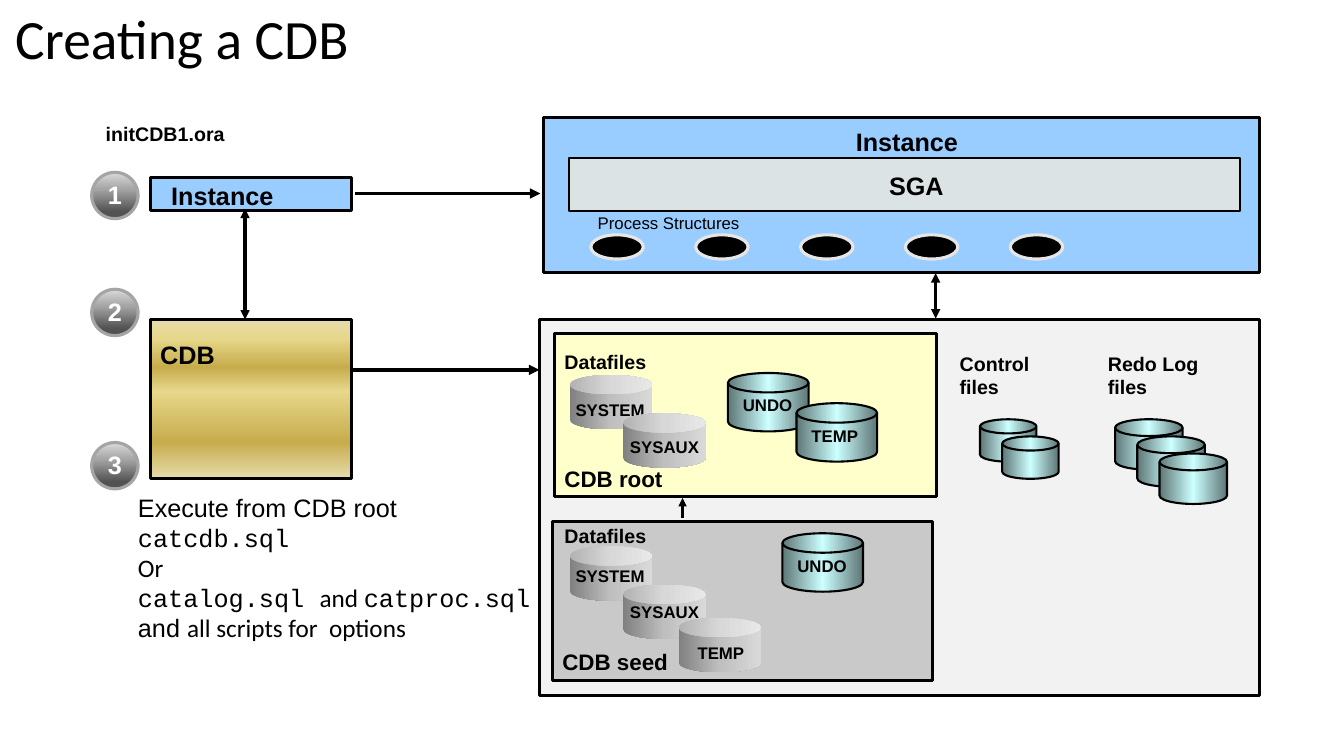
from lxml.etree import SubElement
from pptx import Presentation
from pptx.dml.color import RGBColor
from pptx.enum.shapes import MSO_CONNECTOR, MSO_SHAPE
from pptx.enum.text import MSO_ANCHOR, MSO_AUTO_SIZE, PP_ALIGN
from pptx.oxml.ns import qn
from pptx.util import Inches, Pt

CELL = 0.1
BLACK, WHITE, SKY = "000000", "FFFFFF", "99CCFF"
GOLD = [(0, "E6DCAC"), (12, "E6D78A"), (30, "C7AC4C"), (45, "E6D78A"), (77, "C7AC4C"), (100, "E6DCAC")]
TEAL = [(0, "5E7676"), (50, "CCFFFF"), (100, "5E7676")]
SILVER = [(0, "808080"), (50, "BFBFBF"), (100, "D9D9D9")]
BADGE = [(0, "DBDBDB"), (36, "A5A5A5"), (85, "525252")]
DISK = MSO_SHAPE.FLOWCHART_MAGNETIC_DISK


def grid(*cells):
    """Turn grid cells of a tenth of an inch into lengths."""
    return [Inches(cell * CELL) for cell in cells]


def color(hex_value):
    """Turn a hex string into a colour."""
    return RGBColor.from_string(hex_value)


def set_values(target, values):
    """Set each attribute of the target from a dict."""
    for attribute, value in values.items():
        setattr(target, attribute, value)


def write(frame, lines, size, bold=True, ink=BLACK, spacing=1.0, align=PP_ALIGN.LEFT, font="Arial"):
    """Write lines, each a text or a list of (text, font) runs, into a frame."""
    for index, line in enumerate(lines):
        paragraph = frame.paragraphs[0] if index == 0 else frame.add_paragraph()
        set_values(paragraph, {"alignment": align, "line_spacing": spacing})
        for text, face in [(line, font)] if isinstance(line, str) else line:
            run = paragraph.add_run()
            run.text = text
            set_values(run.font, {"name": face, "size": Pt(size), "bold": bold})
            run.font.color.rgb = color(ink)


def label(slide, place, lines, size, wrap=True, **style):
    """Add a text box that fits its lines."""
    frame = slide.shapes.add_textbox(*grid(*place)).text_frame
    set_values(frame, {"word_wrap": wrap, "auto_size": MSO_AUTO_SIZE.SHAPE_TO_FIT_TEXT})
    write(frame, lines, size, **style)


def paint(shape, fill, angle):
    """Fill a shape with a hex colour or with gradient stops."""
    if isinstance(fill, str):
        shape.fill.solid()
        shape.fill.fore_color.rgb = color(fill)
        return
    shape.fill.gradient()
    shape.fill.gradient_angle = angle
    stops = shape.element.spPr.find(qn("a:gradFill")).find(qn("a:gsLst"))
    for stop in list(stops):
        stops.remove(stop)
    for share, hex_value in fill:
        stop = SubElement(stops, qn("a:gs"), pos=str(share * 1000))
        SubElement(stop, qn("a:srgbClr"), val=hex_value)


def block(slide, kind, place, fill, angle=0, edge=BLACK, weight=2.25):
    """Add a filled shape, without an outline when edge is None."""
    shape = slide.shapes.add_shape(kind, *grid(*place))
    shape.shadow.inherit = False
    paint(shape, fill, angle)
    if edge:
        shape.line.color.rgb = color(edge)
        shape.line.width = Pt(weight)
    else:
        shape.line.fill.background()
    return shape


def container(slide, place, fill, caption):
    """Add a rectangle with a caption at its lower left."""
    frame = block(slide, MSO_SHAPE.RECTANGLE, place, fill).text_frame
    set_values(frame, {"vertical_anchor": MSO_ANCHOR.BOTTOM, "word_wrap": True})
    write(frame, [caption], 16, spacing=0.85)


def arrow(slide, start, end, weight, both=False):
    """Add a black arrow with one or two triangle heads."""
    connector = slide.shapes.add_connector(MSO_CONNECTOR.STRAIGHT, *grid(*start, *end))
    connector.line.color.rgb = color(BLACK)
    connector.line.width = Pt(weight)
    outline = connector.line._get_or_add_ln()
    for tip in ["headEnd", "tailEnd"] if both else ["tailEnd"]:
        SubElement(outline, qn(f"a:{tip}"), type="triangle")
    SubElement(connector.element.spPr, qn("a:effectLst"))


def disk_stack(slide, left, top, width, height, count):
    """Add overlapping disks, each a step right and down."""
    for index in range(count):
        block(slide, DISK, (left + 2.2 * index, top + 1.7 * index, width, height), TEAL, weight=1.5)


def can(slide, left, top, name, shift, drop):
    """Add a grey datafile can and its name."""
    shape = block(slide, MSO_SHAPE.CAN, (left, top, 8.2, 5.4), SILVER, edge=None)
    shape.adjustments[0] = 0.356
    label(slide, (left + shift, top + drop, 10, 3), [name], 12)


def step_badge(slide, number, top):
    """Add a round numbered badge."""
    frame = block(slide, MSO_SHAPE.OVAL, (9.1, top, 4.6, 4.6), BADGE, 270, "A5A5A5").text_frame
    inset = Inches(0.07)
    set_values(frame, {
        "margin_left": inset, "margin_right": inset, "margin_top": inset, "margin_bottom": inset,
        "vertical_anchor": MSO_ANCHOR.MIDDLE, "word_wrap": False})
    write(frame, [str(number)], 18, ink=WHITE, spacing=0.95, align=PP_ALIGN.CENTER)


def add_title(slide, text):
    """Place and format the title placeholder."""
    title = slide.shapes.title
    left, top, width, height = grid(0.5, 0.6, 111, 7.1)
    set_values(title, {"left": left, "top": top, "width": width, "height": height})
    set_values(title.text_frame, {"vertical_anchor": MSO_ANCHOR.MIDDLE, "word_wrap": True})
    write(title.text_frame, [text], 39.6, bold=False, spacing=0.9, font="Calibri")


def add_steps(slide):
    """Add the creation steps on the left."""
    block(slide, MSO_SHAPE.RECTANGLE, (14.9, 17.6, 20, 3.3), SKY)
    block(slide, MSO_SHAPE.RECTANGLE, (14.9, 31.7, 20, 15.8), GOLD, 270)
    label(slide, (16, 18, 21.1, 3.4), ["Instance"], 18, spacing=0.8)
    label(slide, (14.9, 33.2, 21.1, 4), ["CDB"], 18)
    label(slide, (9.5, 12.1, 25.5, 2.9), ["initCDB1.ora"], 14, spacing=0.8)
    code, plain = "Courier New", "Calibri"
    label(slide, (12.7, 48.3, 43.1, 16.2), [
        "Execute from CDB root",
        [("catcdb.sql", code)],
        [("Or", plain)],
        [("catalog.sql ", code), ("and ", plain), ("catproc.sql", code)],
        [("and ", "Arial"), ("all scripts for  options", plain)],
    ], 18, wrap=False, bold=False)
    for number, top in enumerate([17.1, 28.7, 43.9], 1):
        step_badge(slide, number, top)


def add_instance(slide):
    """Add the instance with its SGA and processes."""
    block(slide, MSO_SHAPE.RECTANGLE, (53.9, 11.7, 71, 15.3), SKY)
    label(slide, (83.9, 12.6, 18.9, 3.4), ["Instance"], 18, spacing=0.8)
    block(slide, MSO_SHAPE.RECTANGLE, (56.4, 15.7, 66.6, 5.2), "DCE3E4", weight=1.5)
    label(slide, (87.2, 17, 13.3, 3.4), ["SGA"], 18, spacing=0.8)
    label(slide, (58.3, 21, 33.3, 2.6), ["Process Structures"], 12, bold=False, spacing=0.8)
    for process in range(5):
        block(slide, MSO_SHAPE.OVAL, (58.6 + 10.4 * process, 23.3, 5.2, 2.4), BLACK, edge="E7E6E6")


def add_database(slide):
    """Add the database with its root, seed and other files."""
    block(slide, MSO_SHAPE.RECTANGLE, (53.5, 31.7, 71.4, 37.3), "F2F2F2")
    container(slide, (55, 33.1, 37.9, 16.2), "FFFFCC", "CDB root")
    container(slide, (54.8, 51.7, 37.7, 15.8), "C9C9C9", "CDB seed")
    for top in (34.2, 51.5):
        label(slide, (55, top, 30, 3.4), ["Datafiles"], 14)
    for left, kind in [(94.2, "Control"), (108.9, "Redo Log")]:
        label(slide, (left, 34.4, 14, 5.7), [kind, "files"], 14)
    disk_stack(slide, 97.2, 41.6, 5.6, 4.2, 2)
    disk_stack(slide, 110.6, 41.6, 6.7, 5, 3)
    for left, top, name in [(72.2, 37, "UNDO"), (79, 40, "TEMP"), (77.6, 52.9, "UNDO")]:
        block(slide, DISK, (left, top, 8, 5.8), TEAL, weight=1.5)
        label(slide, (left + 0.5, top + 1.7, 10.6, 3), [name], 12)
    for left, top, name, shift, drop in [
            (56.5, 37.2, "SYSTEM", -0.4, 2), (61.8, 41, "SYSAUX", -0.3, 1.8),
            (56.5, 54.2, "SYSTEM", -0.4, 1.4), (61.8, 58, "SYSAUX", -0.3, 1.2),
            (67.3, 61.3, "TEMP", 0.9, 2)]:
        can(slide, left, top, name, shift, drop)


def main():
    """Build and save the slide."""
    deck = Presentation()
    set_values(deck, {"slide_width": Inches(13.33), "slide_height": Inches(7.5)})
    slide = deck.slides.add_slide(deck.slide_layouts[5])
    add_title(slide, "Creating a CDB")
    add_steps(slide)
    add_instance(slide)
    add_database(slide)
    arrow(slide, (35.2, 19.2), (53.6, 19.2), 2.5)
    arrow(slide, (35, 36.7), (53.5, 36.7), 2.5)
    arrow(slide, (24.3, 20.7), (24.3, 31.7), 2.25, both=True)
    arrow(slide, (92.8, 27.1), (92.8, 31.6), 2.25, both=True)
    arrow(slide, (67.7, 51.4), (67.7, 49.4), 2)
    deck.save("out.pptx")


if __name__ == "__main__":
    main()
